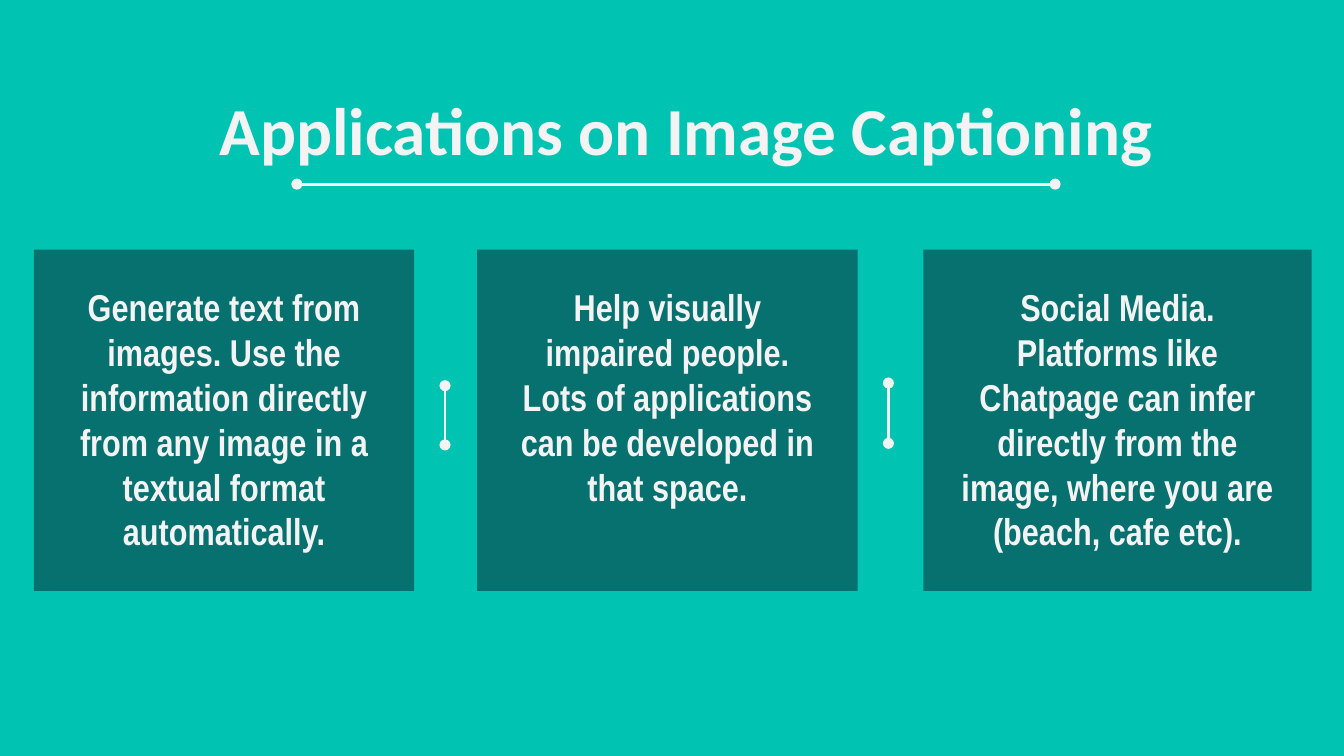
from typing import NamedTuple

from lxml import etree
from pptx import Presentation
from pptx import util as u
from pptx.dml.color import RGBColor
from pptx.enum import shapes, text
from pptx.oxml import ns

TEAL = RGBColor(0x00, 0xC3, 0xB1)
DEEP_TEAL = RGBColor(0x0C, 0x34, 0x3D)
OFF_WHITE = RGBColor(0xF3, 0xF3, 0xF3)
CARD_OPACITY = 57
CARD_TOP, CARD_HEIGHT = 4.72, 6.45


class Card(NamedTuple):
    left: float
    width: float
    message: str


class Divider(NamedTuple):
    x1: float
    y1: float
    x2: float
    y2: float


CARDS = (
    Card(0.64, 7.19, "Generate text from images. Use the information directly "
                     "from any image in a textual format automatically."),
    Card(9.02, 7.19, "Help visually impaired people. Lots of applications "
                     "can be developed in that space."),
    Card(17.45, 7.34, "Social Media. Platforms like Chatpage can infer directly "
                      "from the image, where you are (beach, cafe etc)."),
)
DIVIDERS = (
    Divider(5.61, 3.48, 19.94, 3.48),
    Divider(8.41, 7.29, 8.41, 8.41),
    Divider(16.79, 8.38, 16.79, 7.24),
)


def write(frame, message: str, font_name: str, size: int, inset: float) -> None:
    """Fill a text frame with one centred, bold run."""
    frame.word_wrap = True
    frame.auto_size = text.MSO_AUTO_SIZE.NONE
    frame.vertical_anchor = text.MSO_ANCHOR.TOP
    frame.margin_left = frame.margin_right = frame.margin_top = u.Cm(inset)
    frame.margin_bottom = u.Cm(0.25)
    paragraph = frame.paragraphs[0]
    paragraph.alignment = text.PP_ALIGN.CENTER
    run = paragraph.add_run()
    run.text = message
    run.font.name = font_name
    run.font.size = u.Pt(size)
    run.font.bold = True
    run.font.color.rgb = OFF_WHITE


def draw_title(slide, message: str) -> None:
    """Place the heading above its rule."""
    heading = slide.shapes.add_textbox(u.Cm(1.73), u.Cm(1.42), u.Cm(22.48), u.Cm(1.6))
    write(heading.text_frame, message, "Calibri", 36, 0.25)


def draw_card(slide, card: Card) -> None:
    """Draw one translucent application card."""
    panel = slide.shapes.add_shape(
        shapes.MSO_SHAPE.RECTANGLE,
        u.Cm(card.left), u.Cm(CARD_TOP), u.Cm(card.width), u.Cm(CARD_HEIGHT))
    panel.shadow.inherit = False
    panel.line.fill.background()
    panel.fill.solid()
    panel.fill.fore_color.rgb = DEEP_TEAL
    tint = panel.fill._xPr.find(ns.qn("a:solidFill"))[0]
    etree.SubElement(tint, ns.qn("a:alpha"), val=str(CARD_OPACITY * 1000))
    write(panel.text_frame, card.message, "Arial Narrow", 20, 0.66)


def draw_divider(slide, divider: Divider) -> None:
    """Draw a line with a round dot at each end."""
    rule = slide.shapes.add_connector(
        shapes.MSO_CONNECTOR.STRAIGHT, *(u.Cm(value) for value in divider))
    rule.line.color.rgb = OFF_WHITE
    rule.line.width = u.Pt(1.5)
    stroke = rule.line._get_or_add_ln()
    for end in ("a:headEnd", "a:tailEnd"):
        etree.SubElement(stroke, ns.qn(end), type="oval", w="med", len="med")
    etree.SubElement(rule._element.spPr, ns.qn("a:effectLst"))


def main() -> None:
    """Build and save the slide."""
    deck = Presentation()
    deck.slide_width, deck.slide_height = u.Cm(25.4), u.Cm(14.29)
    slide = deck.slides.add_slide(deck.slide_layouts[6])
    slide.background.fill.solid()
    slide.background.fill.fore_color.rgb = TEAL
    draw_title(slide, "Applications on Image Captioning")
    for divider in DIVIDERS:
        draw_divider(slide, divider)
    for card in CARDS:
        draw_card(slide, card)
    deck.save("out.pptx")


if __name__ == "__main__":
    main()
